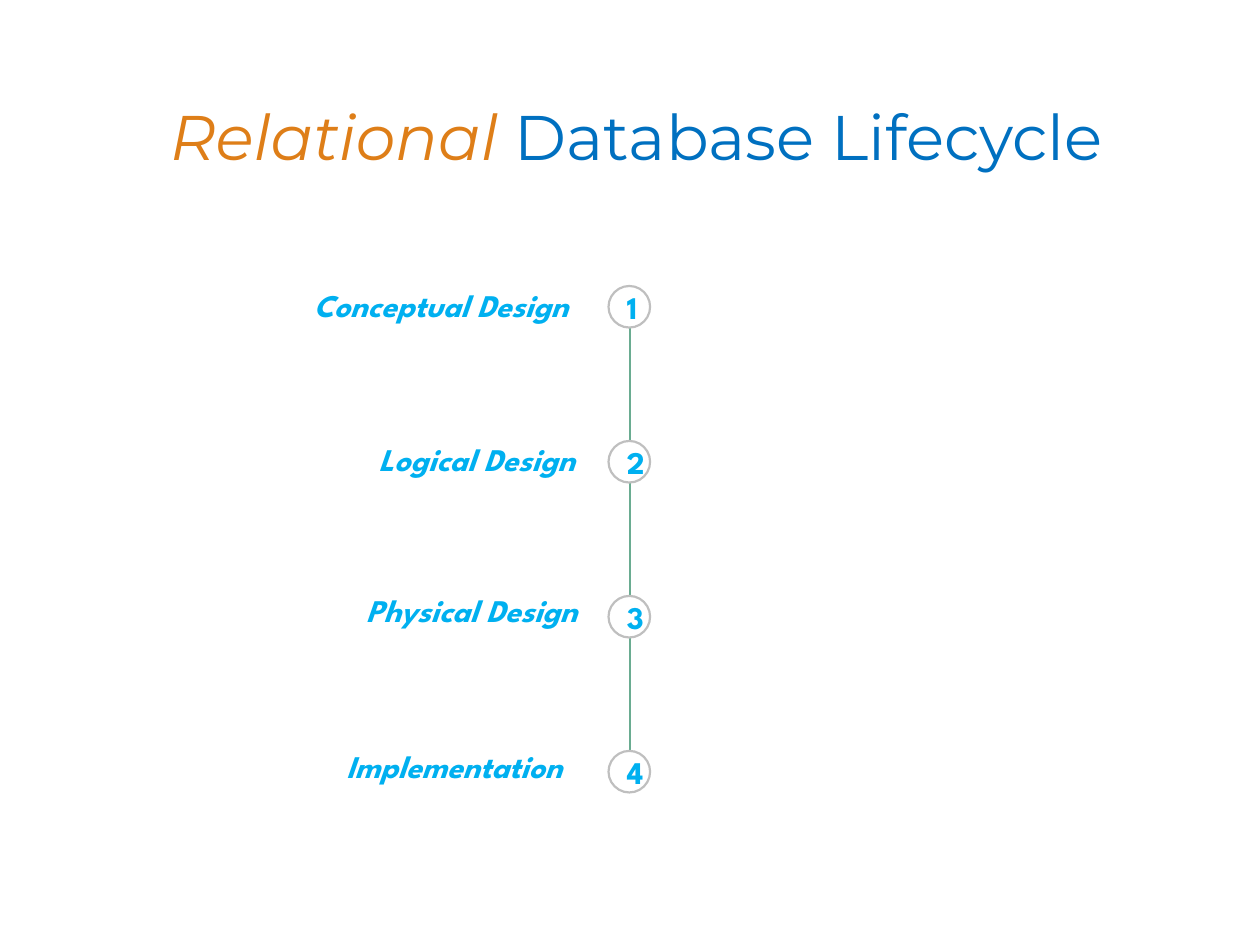
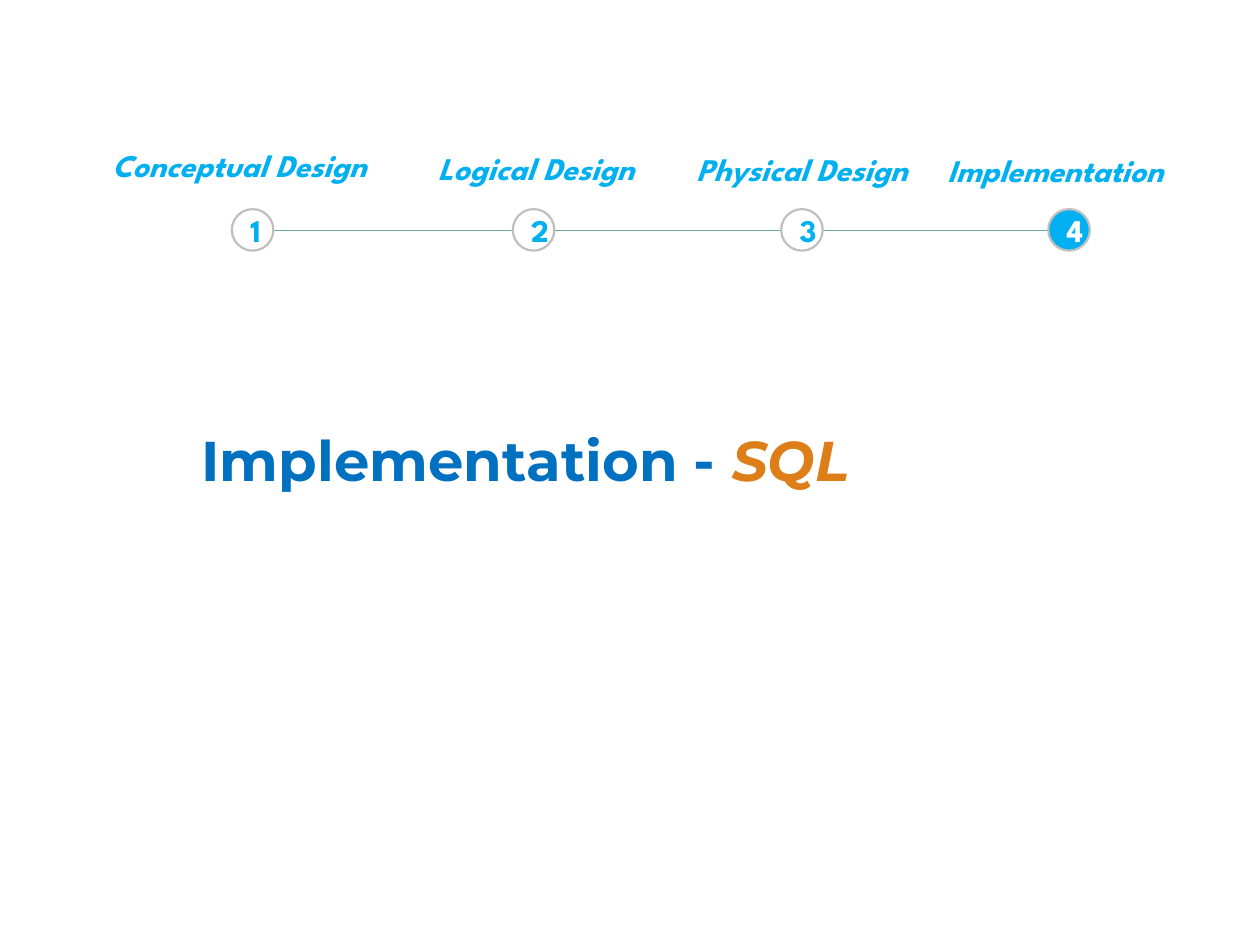
"""Builds two slides on the relational database lifecycle."""
import pptx
import pptx.dml.color
import pptx.enum.shapes
import pptx.enum.text
import pptx.oxml
import pptx.util

Inches = pptx.util.Inches
Pt = pptx.util.Pt
ALIGN = pptx.enum.text.PP_ALIGN
ANCHOR = pptx.enum.text.MSO_ANCHOR

COLORS = {
    "white": "FFFFFF",
    "blue": "0070C0",
    "orange": "DE7E18",
    "sky": "00B0F0",
    "ring": "BFBFBF",
    "track": "6AAC91",
}
HEADING_FONT = "Montserrat"
STAGE_FONT = "League Spartan"
DIAMETER = 0.33
LABEL_HEIGHT = 0.4

STAGES = [
    ("Conceptual Design", 2.4, True),
    ("Logical Design", 1.91, True),
    ("Physical Design", 2.03, True),
    ("Implementation", 2.14, False),
]


def color(name):
    return pptx.dml.color.RGBColor.from_string(COLORS[name])


def write(paragraph, text, *, font, size, fill, bold=False, italic=False):
    run = paragraph.add_run()
    run.text = text
    run.font.name = font
    run.font.size = Pt(size)
    run.font.bold = bold
    run.font.italic = italic
    run.font.color.rgb = color(fill)


class Deck:
    def __init__(self):
        self.presentation = pptx.Presentation()
        self.presentation.slide_width = Inches(10)
        self.presentation.slide_height = Inches(7.5)
        self.slide = None

    def add_slide(self):
        title_only = self.presentation.slide_layouts[5]
        self.slide = self.presentation.slides.add_slide(title_only)

    def title(self, box, parts, size, bold=False):
        heading = self.slide.shapes.title
        heading.left, heading.top, heading.width, heading.height = map(Inches, box)
        frame = heading.text_frame
        frame.word_wrap = True
        frame.auto_size = pptx.enum.text.MSO_AUTO_SIZE.NONE
        frame.vertical_anchor = ANCHOR.TOP
        paragraph = frame.paragraphs[0]
        paragraph.alignment = ALIGN.LEFT
        for text, fill, italic in parts:
            write(paragraph, text, font=HEADING_FONT, size=size, fill=fill,
                  bold=bold, italic=italic)

    def track(self, start, end):
        line = self.slide.shapes.add_connector(
            pptx.enum.shapes.MSO_CONNECTOR.STRAIGHT, *map(Inches, start + end))
        line.line.color.rgb = color("track")
        line.line.width = Pt(0.75)
        line._element.spPr.append(pptx.oxml.parse_xml(
            '<a:effectLst xmlns:a="http://schemas.openxmlformats.org/drawingml/2006/main"/>'))

    def marker(self, left, top, number, active=False):
        circle = self.slide.shapes.add_shape(
            pptx.enum.shapes.MSO_SHAPE.FLOWCHART_CONNECTOR,
            Inches(left), Inches(top), Inches(DIAMETER), Inches(DIAMETER))
        circle.shadow.inherit = False
        circle.fill.solid()
        circle.fill.fore_color.rgb = color("sky" if active else "white")
        circle.line.color.rgb = color("ring")
        circle.line.width = Pt(1.25)
        circle.text_frame.vertical_anchor = ANCHOR.MIDDLE
        paragraph = circle.text_frame.paragraphs[0]
        paragraph.alignment = ALIGN.CENTER
        write(paragraph, str(number), font=STAGE_FONT, size=18,
              fill="white" if active else "sky", bold=True)

    def label(self, left, top, name, width, centered):
        box = self.slide.shapes.add_textbox(
            Inches(left), Inches(top), Inches(width), Inches(LABEL_HEIGHT))
        box.text_frame.word_wrap = not centered
        paragraph = box.text_frame.paragraphs[0]
        paragraph.alignment = ALIGN.CENTER if centered else ALIGN.LEFT
        write(paragraph, name, font=STAGE_FONT, size=18, fill="sky",
              bold=True, italic=True)

    def stages(self, markers, labels, active=None):
        for number, (stage, spot, corner) in enumerate(zip(STAGES, markers, labels), 1):
            self.marker(*spot, number, active=number == active)
            self.label(*corner, *stage)


def lifecycle_slide(deck):
    deck.add_slide()
    deck.title((1.25, 0.72, 8.5, 0.68),
               [("Relational", "orange", True), (" Database Lifecycle", "blue", False)], 36)
    markers = [(4.83, 2.27 + 1.23 * step) for step in range(len(STAGES))]
    labels = [(2.3, 2.22), (2.83, 3.44), (2.73, 4.64), (2.65, 5.88)]
    deck.track((5, markers[0][1] + DIAMETER), (5, markers[-1][1]))
    deck.stages(markers, labels)


def implementation_slide(deck):
    deck.add_slide()
    deck.title((1.5, 3.33, 5.75, 1.17),
               [("Implementation - ", "blue", False), ("SQL", "orange", True)], 32, bold=True)
    markers = [(left, 1.66) for left in (1.84, 4.07, 6.2, 8.32)]
    labels = [(0.7, 1.11), (3.3, 1.13), (5.35, 1.14), (7.42, 1.15)]
    deck.track((markers[0][0] + DIAMETER, 1.83), (markers[-1][0], 1.83))
    deck.stages(markers, labels, active=4)


def main():
    deck = Deck()
    lifecycle_slide(deck)
    implementation_slide(deck)
    deck.presentation.save("out.pptx")


if __name__ == "__main__":
    main()
